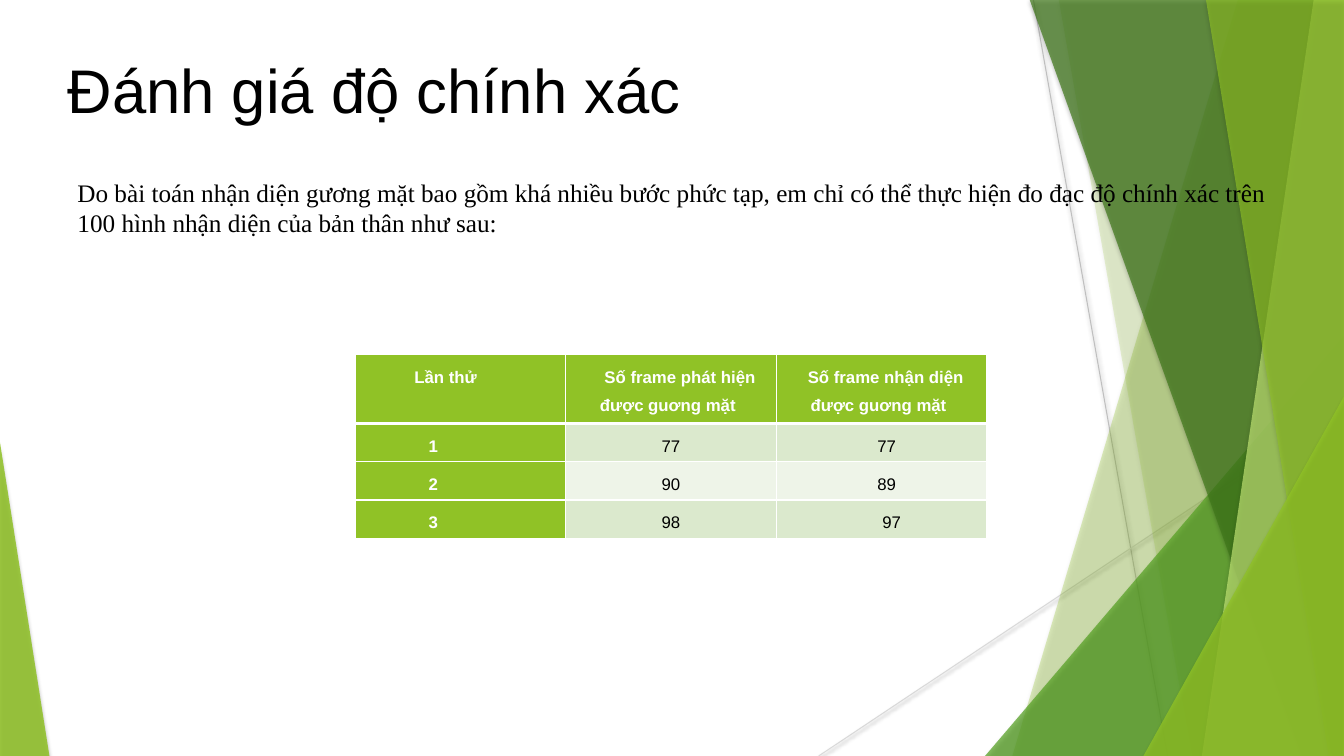
"""Build the slide that reports face recognition accuracy."""
import dataclasses
import typing

import lxml.etree
import pptx
import pptx.dml.color
import pptx.enum.shapes
import pptx.enum.text
import pptx.oxml.ns
import pptx.shapes.base
import pptx.shapes.shapetree
import pptx.table
import pptx.text.text
import pptx.util

Inches = pptx.util.Inches
Pt = pptx.util.Pt
RGB = pptx.dml.color.RGBColor.from_string
qn = pptx.oxml.ns.qn
MID = pptx.enum.text.MSO_ANCHOR.MIDDLE
LEFT = pptx.enum.text.PP_ALIGN.LEFT
CENTER = pptx.enum.text.PP_ALIGN.CENTER
WIDE, HIGH = 13.33, 7.5


@dataclasses.dataclass(frozen=True)
class Theme:
    """Hold the colours, fonts and type sizes."""
    black: str = "000000"
    white: str = "FFFFFF"
    lime: str = "90C226"
    leaf: str = "54A021"
    moss: str = "3F7819"
    pale: str = "C0E474"
    bands: tuple[str, str] = ("DBE9CD", "EEF4E8")
    grays: tuple[str, str] = ("BFBFBF", "D9D9D9")
    sans: str = "Arial"
    serif: str = "Times New Roman"
    title: int = 44
    body: int = 18
    cell: int = 12


LOOK = Theme()


class Ray(typing.NamedTuple):
    """Describe a thin line."""
    start: tuple[float, float]
    end: tuple[float, float]
    color: str


class Blade(typing.NamedTuple):
    """Describe a slanted panel that reaches the right edge."""
    top: float
    base: float
    color: str
    alpha: int


class Wedge(typing.NamedTuple):
    """Describe a right triangle on the bottom edge."""
    left: float
    top: float
    width: float
    peak: float
    color: str
    alpha: int


class Label(typing.NamedTuple):
    """Describe a block of text."""
    text: str
    box: tuple[float, float, float, float]
    inset: tuple[float, float]
    font: str
    size: int
    space: float


class Entry(typing.NamedTuple):
    """Describe the text of a table cell and its indents."""
    text: str
    align: typing.Any = CENTER
    left: float = 0
    first: float = 0
    right: float = 0.04


RAYS = (
    Ray((10.25, 0), (11.58, HIGH), LOOK.grays[0]),
    Ray((WIDE, 4.03), (8.12, HIGH), LOOK.grays[1]),
)
PANELS = (
    Blade(12.28, 10.04, LOOK.lime, 30),
    Blade(10.5, 11.82, LOOK.lime, 20),
    Wedge(9.77, 3.33, 3.56, 1, LOOK.leaf, 72),
    Blade(10.21, 12.91, LOOK.moss, 70),
    Blade(13.03, 11.92, LOOK.pale, 70),
    Blade(11.96, 13.18, LOOK.lime, 65),
    Wedge(11.34, 3.93, 1.99, 1, LOOK.lime, 80),
    Wedge(0, 4.39, 0.49, 0, LOOK.lime, 85),
)
LABELS = (
    Label("Đánh giá độ chính xác", (0.67, 0.3, 12, 1.25), (0, 0), LOOK.sans, LOOK.title, 0.9),
    Label("Do bài toán nhận diện gương mặt bao gồm khá nhiều bước phức tạp, em chỉ có thể "
          "thực hiện đo đạc độ chính xác trên 100 hình nhận diện của bản thân như sau:",
          (0.67, 1.7, 12.13, 0.71), (0.1, 0.05), LOOK.serif, LOOK.body, 1.0),
)
HEADS = (
    Entry("Lần thử", LEFT, 0.55),
    Entry("Số frame phát hiện được guơng mặt", first=0.24, right=0.1),
    Entry("Số frame nhận diện được guơng mặt", first=0.14, right=0.1),
)
TRIALS = ((1, 77, 77, 0.1), (2, 90, 89, 0.1), (3, 98, 97, 0.2))


def apply(target: typing.Any, values: dict[str, typing.Any]) -> None:
    """Set each named attribute of the target."""
    for name, value in values.items():
        setattr(target, name, value)


def shade(shape: pptx.shapes.base.BaseShape, alpha: int, blur: float, gap: float) -> None:
    """Cast a soft shadow straight down."""
    props = shape._element.spPr
    for old in props.findall(qn("a:effectLst")):
        props.remove(old)
    group = lxml.etree.SubElement(props, qn("a:effectLst"))
    drop = lxml.etree.SubElement(group, qn("a:outerShdw"), blurRad=str(Pt(blur)),
                                 dist=str(Pt(gap)), dir="5400000", rotWithShape="0")
    tint = lxml.etree.SubElement(drop, qn("a:srgbClr"), val=LOOK.black)
    lxml.etree.SubElement(tint, qn("a:alpha"), val=str(alpha * 1000))


def add_ray(shapes: pptx.shapes.shapetree.SlideShapes, ray: Ray) -> None:
    """Draw one thin line."""
    ends = [Inches(v) for v in ray.start + ray.end]
    line = shapes.add_connector(pptx.enum.shapes.MSO_CONNECTOR.STRAIGHT, *ends)
    line.line.color.rgb = RGB(ray.color)
    line.line.width = Pt(0.75)
    shade(line, 38, 3.1, 1.6)


def add_panel(shapes: pptx.shapes.shapetree.SlideShapes, panel: Blade | Wedge) -> None:
    """Draw one translucent panel."""
    if isinstance(panel, Blade):
        spots = [(panel.top, -0.01), (WIDE, -0.01), (WIDE, HIGH), (panel.base, HIGH)]
        first, *rest = [(Inches(x), Inches(y)) for x, y in spots]
        build = shapes.build_freeform(*first)
        build.add_line_segments(rest, close=True)
        shape = build.convert_to_shape()
    else:
        box = (panel.left, panel.top, panel.width, HIGH - panel.top)
        kind = pptx.enum.shapes.MSO_SHAPE.ISOSCELES_TRIANGLE
        shape = shapes.add_shape(kind, *map(Inches, box))
        shape.adjustments[0] = panel.peak
    shape.fill.solid()
    shape.fill.fore_color.rgb = RGB(panel.color)
    shape.line.fill.background()
    tint = shape._element.spPr.find(qn("a:solidFill"))[0]
    lxml.etree.SubElement(tint, qn("a:alpha"), val=str(panel.alpha * 1000))
    shade(shape, 35, 3, 2)


def style(para: pptx.text.text._Paragraph, font: str, size: int, color: str, bold: bool) -> None:
    """Format the font of a paragraph's runs."""
    for run in para.runs:
        apply(run.font, {"name": font, "size": Pt(size), "bold": bold})
        run.font.color.rgb = RGB(color)


def add_label(shapes: pptx.shapes.shapetree.SlideShapes, label: Label) -> None:
    """Place one block of text."""
    frame = shapes.add_textbox(*map(Inches, label.box)).text_frame
    side, edge = map(Inches, label.inset)
    apply(frame, {"word_wrap": True, "vertical_anchor": MID, "margin_left": side,
                  "margin_right": side, "margin_top": edge, "margin_bottom": edge,
                  "text": label.text})
    para = frame.paragraphs[0]
    para.line_spacing = label.space
    style(para, label.font, label.size, LOOK.black, False)


def fill_cell(cell: pptx.table._Cell, entry: Entry, fill: str, bold: bool,
              rules: dict[str, float]) -> None:
    """Write, border and colour one table cell."""
    pad = Inches(0.04)
    apply(cell, {"text": entry.text, "margin_left": pad, "margin_right": Inches(entry.right),
                 "margin_top": pad, "margin_bottom": pad})
    para = cell.text_frame.paragraphs[0]
    apply(para, {"alignment": entry.align, "line_spacing": 1.5,
                 "space_before": Pt(6), "space_after": Pt(10)})
    inset = para._p.get_or_add_pPr()
    inset.set("marL", str(Inches(entry.left)))
    inset.set("indent", str(Inches(entry.first)))
    style(para, LOOK.sans, LOOK.cell, LOOK.white if bold else LOOK.black, bold)
    props = cell._tc.get_or_add_tcPr()
    for side in "LRTB":
        line = lxml.etree.SubElement(props, qn("a:ln" + side), w=str(Pt(rules.get(side, 1))))
        paint = lxml.etree.SubElement(line, qn("a:solidFill"))
        lxml.etree.SubElement(paint, qn("a:srgbClr"), val=LOOK.white)
    cell.fill.solid()
    cell.fill.fore_color.rgb = RGB(fill)


def add_grid(shapes: pptx.shapes.shapetree.SlideShapes) -> None:
    """Build the table of trial results."""
    box = map(Inches, (3.52, 3.52, 6.27, 1.71))
    table = shapes.add_table(len(TRIALS) + 1, len(HEADS), *box).table
    apply(table, {"first_row": False, "horz_banding": False})
    for i, row in enumerate(table.rows):
        row.height = Inches(0.36 if i else 0.63)
    for col, head in enumerate(HEADS):
        fill_cell(table.cell(0, col), head, LOOK.lime, True, {"B": 3})
    for i, (trial, found, known, shift) in enumerate(TRIALS):
        line = (Entry(str(trial), LEFT, 0.69), Entry(str(found)), Entry(str(known), left=shift))
        for col, entry in enumerate(line):
            fill = LOOK.bands[i % 2] if col else LOOK.lime
            fill_cell(table.cell(i + 1, col), entry, fill, not col, {} if i else {"T": 3})


def main() -> None:
    """Draw the slide and save it."""
    deck = pptx.Presentation()
    apply(deck, {"slide_width": Inches(WIDE), "slide_height": Inches(HIGH)})
    shapes = deck.slides.add_slide(deck.slide_layouts[6]).shapes
    for ray in RAYS:
        add_ray(shapes, ray)
    for panel in PANELS:
        add_panel(shapes, panel)
    title, intro = LABELS
    add_label(shapes, title)
    add_grid(shapes)
    add_label(shapes, intro)
    deck.save("out.pptx")


if __name__ == "__main__":
    main()
